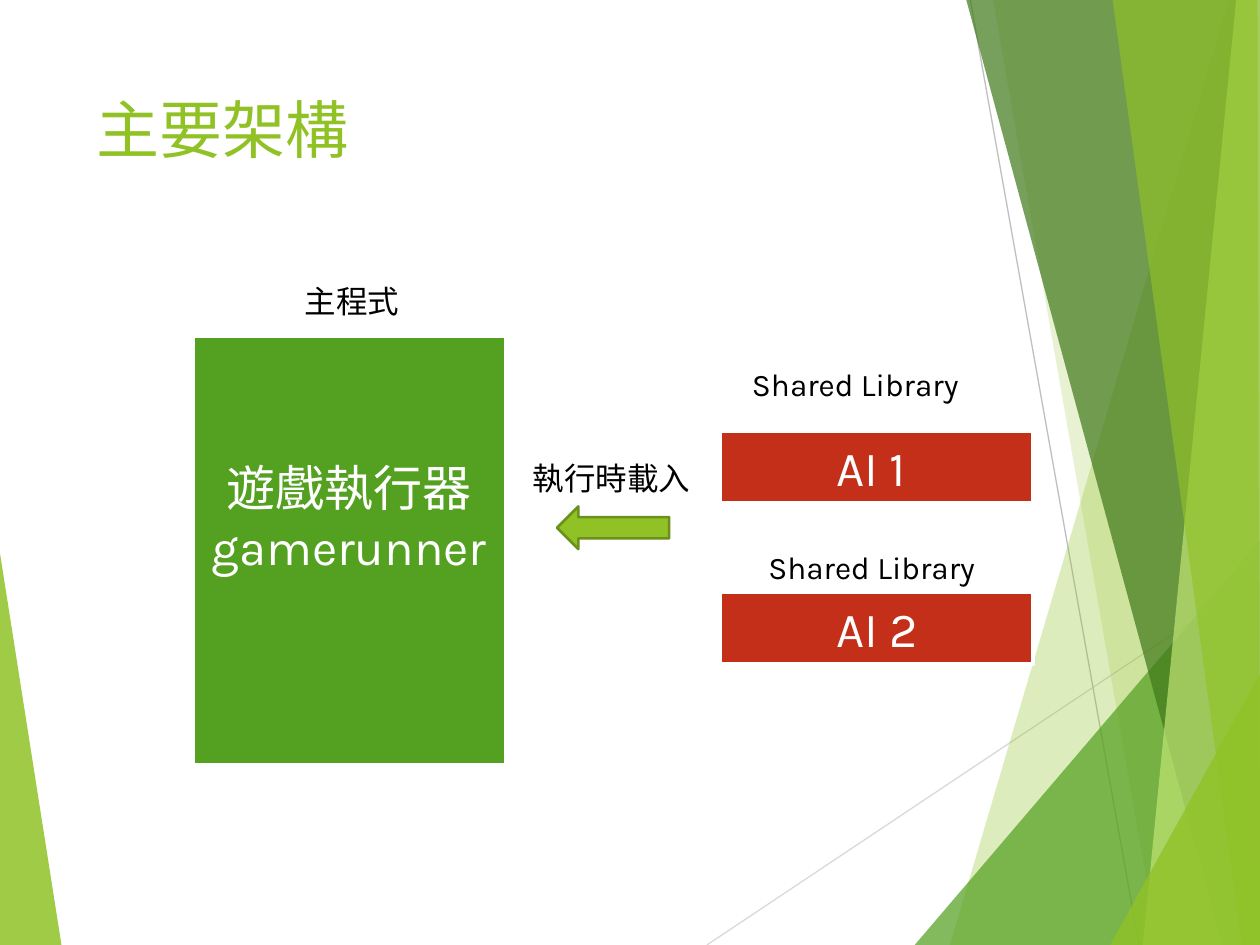
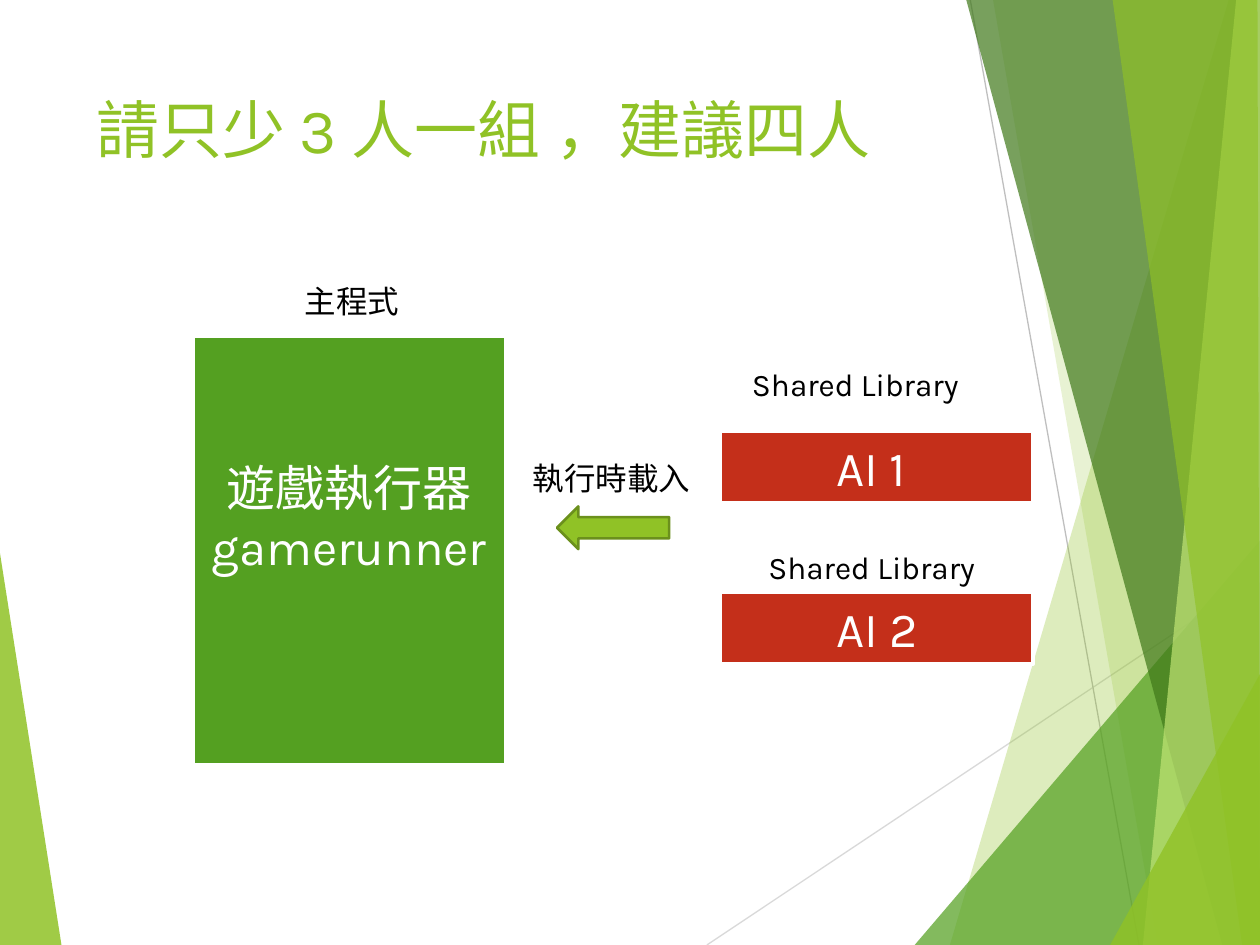
import pptx
import pptx.util
import pptx.dml.color
import pptx.enum.shapes
import pptx.enum.text
import pptx.oxml.ns
import lxml.etree

Cm, Pt = pptx.util.Cm, pptx.util.Pt
WIDTH, HEIGHT = 25.4, 19.05
COLOURS = {
    "lime": "90C226", "green": "54A021", "forest": "3F7819", "pale": "C0E474",
    "red": "C42F1A", "olive": "6B901C", "white": "FFFFFF", "black": "000000",
    "light grey": "D9D9D9", "grey": "BFBFBF",
}

# Background facets: colour, opacity in percent, corners in cm
LEFT_FACET = ("lime", 85, [(0, 11.15), (1.24, HEIGHT), (0, HEIGHT)])
RAYS = [("light grey", (14.25, HEIGHT), (WIDTH, 11.61)),
        ("grey", (19.56, 0), (22.96, HEIGHT))]


def band(top, bottom, right_top=WIDTH):
    """Corners of a full-height band that reaches the right edge."""
    return [(top, 0), (bottom, HEIGHT), (WIDTH, HEIGHT), (right_top, 0)]


def corner(left, top):
    """Corners of a triangle in the bottom right corner."""
    return [(left, HEIGHT), (WIDTH, top), (WIDTH, HEIGHT)]


RIGHT_FACETS = [
    ("lime", 30, band(24.77, 19.15)),
    ("lime", 20, band(20.02, 23.34)),
    ("green", 72, corner(18.44, 10.9)),
    ("forest", 70, band(19.48, 24.64)),
    ("pale", 70, band(24.92, 23.04)),
    ("lime", 65, band(22.43, 25.04, 25.35)),
    ("lime", 80, corner(22.38, 13.59)),
]


class Painter:
    """Holds the style and the current slide."""

    font = "Karla"

    def __init__(self, deck):
        self.deck = deck
        self.page = None

    def colour(self, name):
        return pptx.dml.color.RGBColor.from_string(COLOURS[name])

    def new_page(self):
        self.page = self.deck.slides.add_slide(self.deck.slide_layouts[6])

    def set_text(self, box, text, size, colour, align):
        frame = box.text_frame
        frame.word_wrap = True
        frame.vertical_anchor = pptx.enum.text.MSO_ANCHOR.TOP
        frame.text = text
        for para in frame.paragraphs:
            para.alignment = align
            for span in para.runs:
                span.font.name = self.font
                span.font.size = Pt(size)
                span.font.color.rgb = self.colour(colour)

    def label(self, text, left, top, width, height=1.02, size=18, colour="black"):
        box = self.page.shapes.add_textbox(Cm(left), Cm(top), Cm(width), Cm(height))
        self.set_text(box, text, size, colour, pptx.enum.text.PP_ALIGN.LEFT)

    def shape(self, kind, left, top, width, height, fill, line, weight):
        box = self.page.shapes.add_shape(kind, Cm(left), Cm(top), Cm(width), Cm(height))
        box.shadow.inherit = False
        box.fill.solid()
        box.fill.fore_color.rgb = self.colour(fill)
        box.line.color.rgb = self.colour(line)
        box.line.width = Pt(weight)
        return box

    def block(self, text, left, top, height, fill, inset=0.13):
        box = self.shape(pptx.enum.shapes.MSO_SHAPE.RECTANGLE,
                         left, top, 6.3, height, fill, "white", 2)
        box.text_frame.margin_top = Cm(inset)
        self.set_text(box, text, 28, "white", pptx.enum.text.PP_ALIGN.CENTER)

    def left_arrow(self, left, top, width, height):
        self.shape(pptx.enum.shapes.MSO_SHAPE.LEFT_ARROW,
                   left, top, width, height, "lime", "olive", 1.5)

    def ray(self, colour, start, end):
        line = self.page.shapes.add_connector(
            pptx.enum.shapes.MSO_CONNECTOR.STRAIGHT, *map(Cm, start + end))
        line.line.color.rgb = self.colour(colour)
        line.line.width = Pt(0.75)
        properties = line._element.spPr
        lxml.etree.SubElement(properties, pptx.oxml.ns.qn("a:effectLst"))

    def facet(self, colour, opacity, corners):
        points = [(Cm(x), Cm(y)) for x, y in corners]
        builder = self.page.shapes.build_freeform(*points[0])
        builder.add_line_segments(points[1:], close=True)
        outline = builder.convert_to_shape()
        outline.shadow.inherit = False
        outline.line.fill.background()
        outline.fill.solid()
        outline.fill.fore_color.rgb = self.colour(colour)
        tint = outline._element.spPr.find(".//" + pptx.oxml.ns.qn("a:srgbClr"))
        alpha = lxml.etree.SubElement(tint, pptx.oxml.ns.qn("a:alpha"))
        alpha.set("val", str(opacity * 1000))

    def background(self):
        self.facet(*LEFT_FACET)
        for ray in RAYS:
            self.ray(*ray)
        for facet in RIGHT_FACETS:
            self.facet(*facet)

    def title(self, text):
        self.label(text, 1.7, 1.7, 17.63, 3.66, size=36, colour="lime")

    def architecture(self):
        # Main program and the libraries it loads
        self.block("遊戲執行器\ngamerunner", 3.89, 6.78, 8.64, "green", inset=2.45)
        self.block("AI 1 ", 14.53, 8.69, 1.45, "red")
        self.block("AI 2", 14.53, 11.94, 1.45, "red")
        self.left_arrow(11.23, 10.21, 2.26, 0.86)
        # Captions
        self.label("Shared Library", 14.91, 7.24, 4.93)
        self.label("主程式", 5.89, 5.56, 3.07)
        self.label("Shared Library", 15.24, 10.92, 4.93)
        self.label("執行時載入", 10.49, 9.12, 4.04)


def main():
    deck = pptx.Presentation()
    deck.slide_width, deck.slide_height = Cm(WIDTH), Cm(HEIGHT)
    painter = Painter(deck)
    for title in ("主要架構", "請只少 3 人一組 ，建議四人"):
        painter.new_page()
        painter.background()
        painter.title(title)
        painter.architecture()
    deck.save("out.pptx")


if __name__ == "__main__":
    main()
